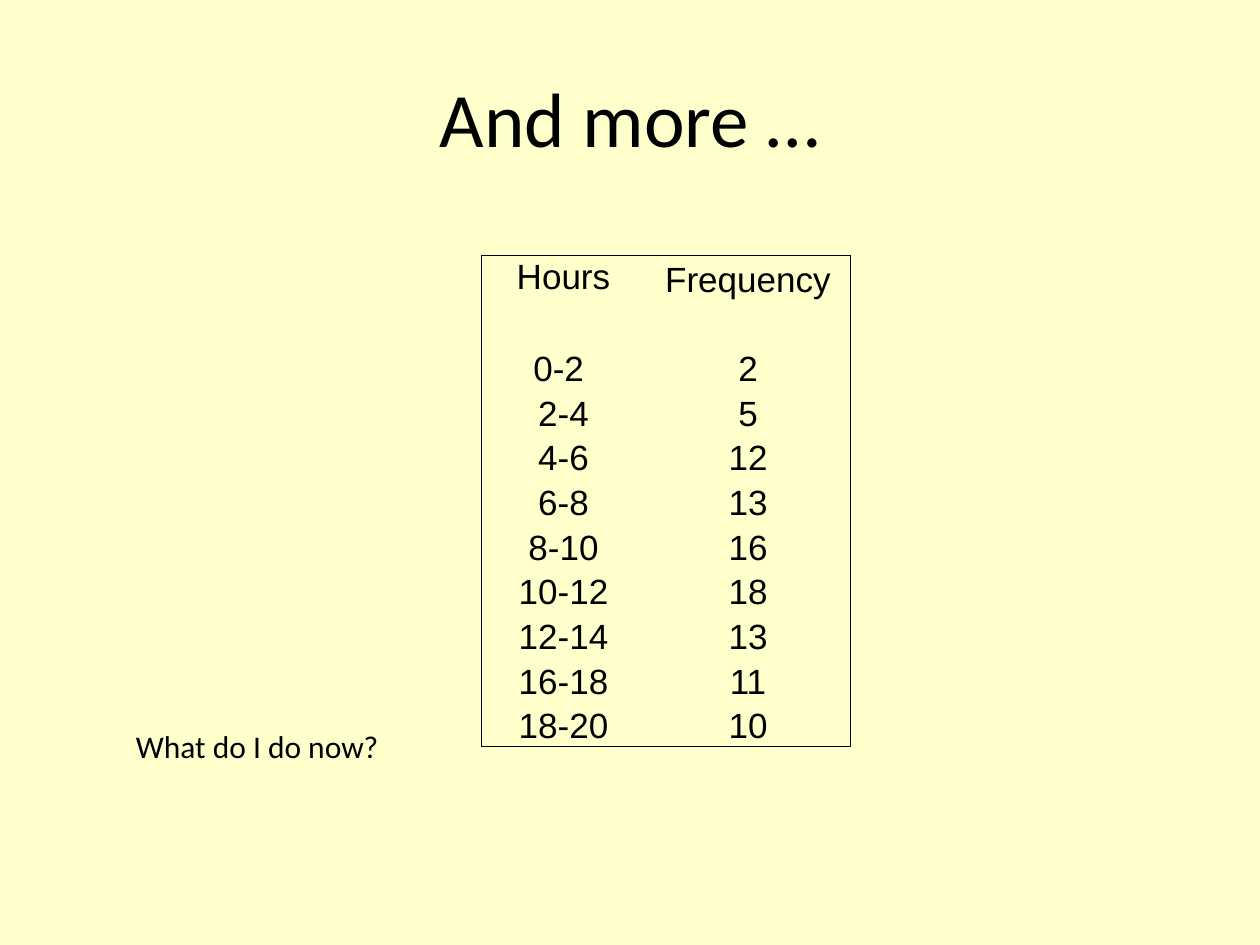
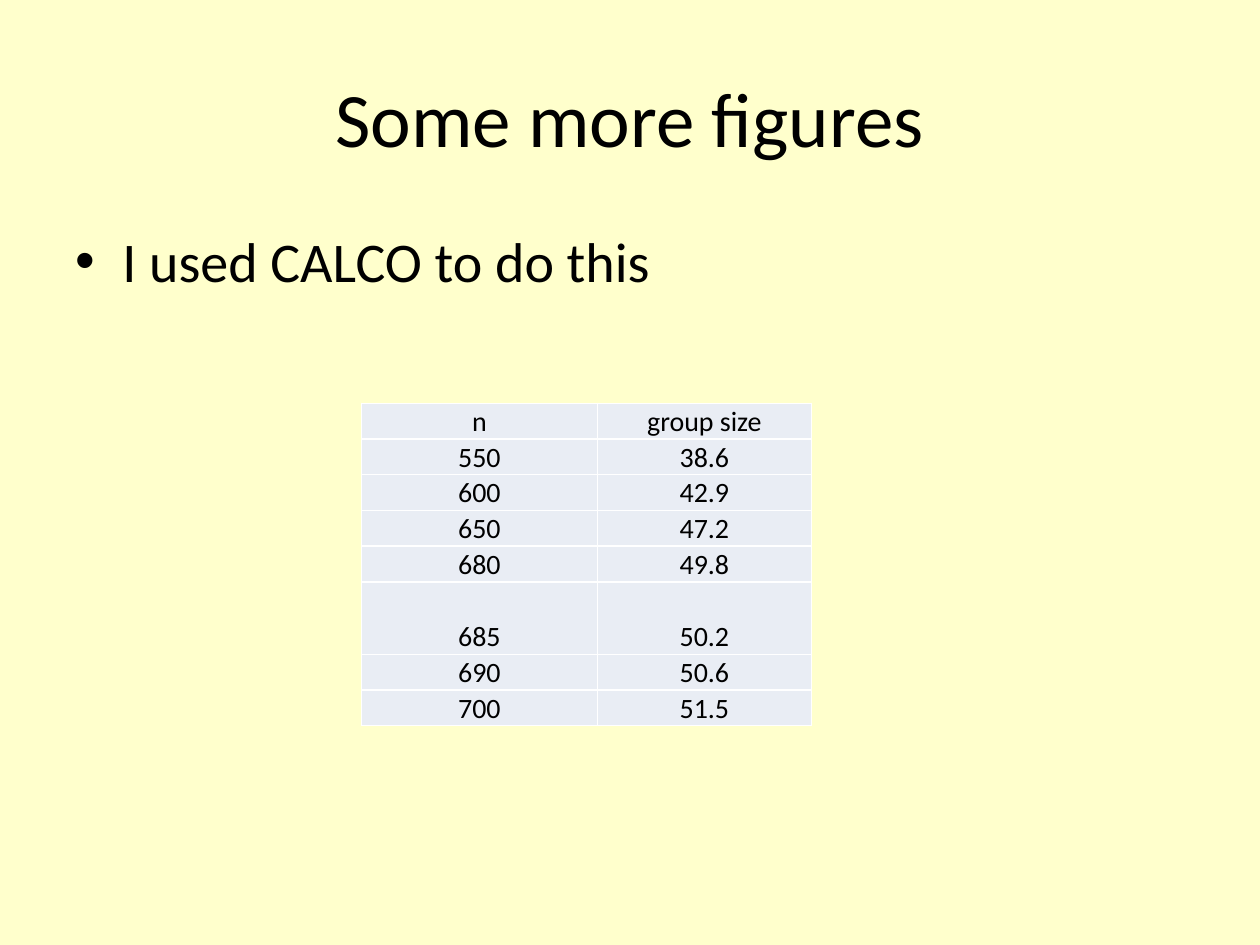
from dataclasses import dataclass
from typing import Optional

from lxml.etree import SubElement
from pptx import Presentation
from pptx.dml.color import RGBColor
from pptx.enum.text import MSO_ANCHOR, PP_ALIGN
from pptx.oxml.ns import qn
from pptx.slide import Slide
from pptx.text.text import _Paragraph
from pptx.util import Cm, Pt

CREAM = RGBColor(0xFF, 0xFF, 0xCC)
BLACK = RGBColor(0x00, 0x00, 0x00)
WHITE = RGBColor(0xFF, 0xFF, 0xFF)
PALE_BLUE = RGBColor(0xE9, 0xED, 0xF4)

HEADING_FONT = "Calibri"
TABLE_INSET = Cm(0.02)


@dataclass(frozen=True)
class TextSpec:
    text: str
    left: float
    top: float
    width: float
    height: float
    size: int
    align: PP_ALIGN = PP_ALIGN.LEFT
    anchor: MSO_ANCHOR = MSO_ANCHOR.TOP
    wrap: bool = True
    bullet: bool = False


@dataclass(frozen=True)
class TableSpec:
    rows: list[tuple[str, str]]
    left: float
    top: float
    col_widths: tuple[float, float]
    row_heights: list[float]
    font: str
    size: int
    fill: Optional[RGBColor]
    line: RGBColor
    line_width: float
    inner_lines: bool
    first_anchor: MSO_ANCHOR = MSO_ANCHOR.BOTTOM


def style_paragraph(p: _Paragraph, font: str, size: int, align: PP_ALIGN) -> None:
    p.alignment = align
    p.font.name = font
    p.font.size = Pt(size)
    p.font.color.rgb = BLACK


def add_bullet(p: _Paragraph, indent: float) -> None:
    pPr = p._p.get_or_add_pPr()
    pPr.set("marL", str(Cm(indent)))
    pPr.set("indent", str(-Cm(indent)))
    font = pPr.makeelement(qn("a:buFont"), {"typeface": "Arial"})
    char = pPr.makeelement(qn("a:buChar"), {"char": "•"})
    pPr.insert(0, font)
    pPr.insert(1, char)


def add_text(s: Slide, spec: TextSpec) -> None:
    box = s.shapes.add_textbox(Cm(spec.left), Cm(spec.top), Cm(spec.width), Cm(spec.height))
    tf = box.text_frame
    tf.word_wrap = spec.wrap
    tf.vertical_anchor = spec.anchor
    p = tf.paragraphs[0]
    p.text = spec.text
    style_paragraph(p, HEADING_FONT, spec.size, spec.align)
    if spec.bullet:
        add_bullet(p, 0.95)


def add_border(cell, side: str, color: Optional[RGBColor], width: float) -> None:
    ln = SubElement(cell._tc.get_or_add_tcPr(), qn(f"a:ln{side}"), w=str(Pt(width)))
    if color is None:
        SubElement(ln, qn("a:noFill"))
    else:
        SubElement(SubElement(ln, qn("a:solidFill")), qn("a:srgbClr"), val=str(color))


def add_data_table(s: Slide, spec: TableSpec) -> None:
    last_row, last_col = len(spec.rows) - 1, len(spec.col_widths) - 1
    table = s.shapes.add_table(
        last_row + 1, last_col + 1, Cm(spec.left), Cm(spec.top),
        Cm(sum(spec.col_widths)), Cm(sum(spec.row_heights)),
    ).table
    table.first_row = False
    table.horz_banding = False
    for column, width in zip(table.columns, spec.col_widths):
        column.width = Cm(width)
    for row, height in zip(table.rows, spec.row_heights):
        row.height = Cm(height)
    for i, values in enumerate(spec.rows):
        for j, value in enumerate(values):
            cell = table.cell(i, j)
            cell.margin_left = cell.margin_right = cell.margin_top = TABLE_INSET
            cell.margin_bottom = 0
            cell.vertical_anchor = spec.first_anchor if i == j == 0 else MSO_ANCHOR.BOTTOM
            p = cell.text_frame.paragraphs[0]
            p.text = value
            style_paragraph(p, spec.font, spec.size, PP_ALIGN.CENTER)
            outer = {"L": j == 0, "R": j == last_col, "T": i == 0, "B": i == last_row}
            for side, on_edge in outer.items():
                visible = on_edge or spec.inner_lines
                add_border(cell, side, spec.line if visible else None, spec.line_width)
            if spec.fill is None:
                cell.fill.background()
            else:
                cell.fill.solid()
                cell.fill.fore_color.rgb = spec.fill


def add_titled_slide(prs: Presentation, title: str) -> Slide:
    s = prs.slides.add_slide(prs.slide_layouts[6])
    s.background.fill.solid()
    s.background.fill.fore_color.rgb = CREAM
    add_text(s, TextSpec(title, 1.27, 0.76, 22.86, 3.18, 44,
                         PP_ALIGN.CENTER, MSO_ANCHOR.MIDDLE))
    return s


def build_hours_slide(prs: Presentation) -> None:
    s = add_titled_slide(prs, "And more …")
    add_text(s, TextSpec("What do I do now?", 2.49, 14.53, 5.46, 1.02, 18, wrap=False))
    rows = [
        ("Hours", "Frequency"), ("", ""), ("0-2 ", "2"), ("2-4", "5"),
        ("4-6", "12"), ("6-8", "13"), ("8-10", "16"), ("10-12", "18"),
        ("12-14", "13"), ("16-18", "11"), ("18-20", "10"),
    ]
    add_data_table(s, TableSpec(
        rows, 9.7, 5.14, (3.32, 4.12), [0.9] * len(rows), "Arial", 20,
        fill=None, line=BLACK, line_width=0.5, inner_lines=False,
        first_anchor=MSO_ANCHOR.MIDDLE,
    ))


def build_group_size_slide(prs: Presentation) -> None:
    s = add_titled_slide(prs, "Some more figures")
    add_text(s, TextSpec("I used CALCO to do this", 1.27, 4.45, 22.86, 12.57, 32, bullet=True))
    rows = [
        ("n", "group size"), ("550", "38.6"), ("600", "42.9"), ("650", "47.2"),
        ("680", "49.8"), ("685", "50.2"), ("690", "50.6"), ("700", "51.5"),
    ]
    heights = [1.46 if n == "685" else 0.72 for n, _ in rows]
    add_data_table(s, TableSpec(
        rows, 7.29, 8.13, (4.75, 4.32), heights, "Calibri", 16,
        fill=PALE_BLUE, line=WHITE, line_width=1, inner_lines=True,
    ))


def main() -> None:
    prs = Presentation()
    prs.slide_width, prs.slide_height = Cm(25.4), Cm(19.05)
    build_hours_slide(prs)
    build_group_size_slide(prs)
    prs.save("out.pptx")


if __name__ == "__main__":
    main()
